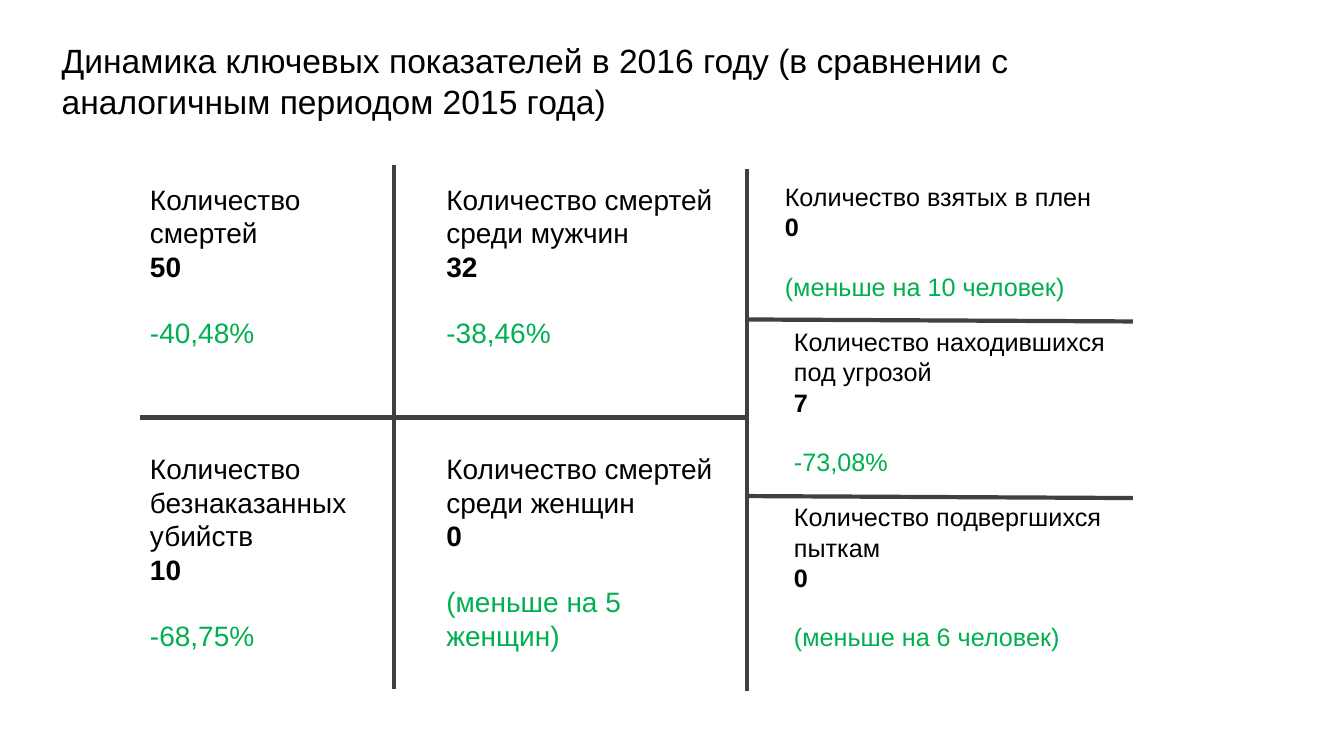
from dataclasses import dataclass

from lxml.etree import SubElement
from pptx import Presentation
from pptx.dml.color import RGBColor
from pptx.enum.text import MSO_ANCHOR, MSO_AUTO_SIZE, PP_ALIGN
from pptx.oxml.ns import qn
from pptx.slide import Slide
from pptx.text.text import Font
from pptx.util import Cm, Pt


@dataclass(frozen=True)
class Theme:
    font: str = "Arial"
    text: RGBColor = RGBColor(0x00, 0x00, 0x00)
    change: RGBColor = RGBColor(0x00, 0xB0, 0x50)
    divider: RGBColor = RGBColor(0x40, 0x40, 0x40)
    title_size: int = 24
    large_size: int = 20
    small_size: int = 18
    divider_width: int = 3
    line_height: float = 1.15


@dataclass(frozen=True)
class Indicator:
    label: str
    value: str
    change: str
    left: float
    top: float
    width: float
    height: float
    size: int


@dataclass(frozen=True)
class Divider:
    x1: float
    y1: float
    x2: float
    y2: float


THEME = Theme()

# Grid, in centimetres
LEFT, MIDDLE, RIGHT = 3.53, 11.0, 19.76
UPPER, LOWER = 4.47, 11.25
LEFT_WIDTH, MIDDLE_WIDTH, RIGHT_WIDTH = 5.7, 7.67, 8.46
FIRST_WALL, SECOND_WALL, RIGHT_EDGE = 9.93, 18.82, 28.55
LARGE, SMALL = THEME.large_size, THEME.small_size

INDICATORS = [
    Indicator("Количество смертей", "50", "-40,48%",
              LEFT, UPPER, LEFT_WIDTH, 4.52, LARGE),
    Indicator("Количество смертей среди мужчин", "32", "-38,46%",
              MIDDLE, UPPER, MIDDLE_WIDTH, 4.52, LARGE),
    Indicator("Количество безнаказанных убийств", "10", "-68,75%",
              LEFT, LOWER, LEFT_WIDTH, 5.38, LARGE),
    Indicator("Количество смертей среди женщин", "0", "(меньше на 5 женщин)",
              MIDDLE, LOWER, MIDDLE_WIDTH, 5.38, LARGE),
    Indicator("Количество взятых в плен", "0", "(меньше на 10 человек)",
              19.53, 4.45, RIGHT_WIDTH, 3.33, SMALL),
    Indicator("Количество находившихся под угрозой", "7", "-73,08%",
              RIGHT, 8.1, RIGHT_WIDTH, 4.11, SMALL),
    Indicator("Количество подвергшихся пыткам", "0", "(меньше на 6 человек)",
              RIGHT, 12.52, RIGHT_WIDTH, 4.11, SMALL),
]

DIVIDERS = [
    Divider(FIRST_WALL, 4.17, FIRST_WALL, 17.35),
    Divider(SECOND_WALL, 4.27, SECOND_WALL, 17.42),
    Divider(LEFT, 10.52, SECOND_WALL, 10.52),
    Divider(SECOND_WALL, 8.05, RIGHT_EDGE, 8.1),
    Divider(SECOND_WALL, 12.5, RIGHT_EDGE, 12.55),
]


def style_font(font: Font, size: int, color: RGBColor, bold: bool = False) -> None:
    font.name = THEME.font
    font.size = Pt(size)
    font.color.rgb = color
    font.bold = bold


def draw_title(slide: Slide, heading: str) -> None:
    title = slide.shapes.title
    title.left, title.top, title.width, title.height = Cm(1.3), Cm(0.89), Cm(27.25), Cm(2.31)
    frame = title.text_frame
    frame.text = heading
    frame.word_wrap = True
    frame.auto_size = MSO_AUTO_SIZE.SHAPE_TO_FIT_TEXT
    frame.vertical_anchor = MSO_ANCHOR.TOP
    frame.paragraphs[0].alignment = PP_ALIGN.LEFT
    style_font(frame.paragraphs[0].runs[0].font, THEME.title_size, THEME.text)


def draw_indicator(slide: Slide, item: Indicator) -> None:
    box = slide.shapes.add_textbox(Cm(item.left), Cm(item.top), Cm(item.width), Cm(item.height))
    frame = box.text_frame
    frame.word_wrap = True
    frame.auto_size = MSO_AUTO_SIZE.SHAPE_TO_FIT_TEXT
    frame.text = "\n".join((item.label, item.value, item.change))
    label, value, change = frame.paragraphs
    style_font(label.runs[0].font, item.size, THEME.text)
    style_font(value.runs[0].font, item.size, THEME.text, bold=True)
    style_font(change.runs[0].font, item.size, THEME.change)
    # One line of air above the change
    change.space_before = Pt(round(item.size * THEME.line_height, 1))


def draw_divider(slide: Slide, divider: Divider) -> None:
    line = slide.shapes.add_connector(
        1, Cm(divider.x1), Cm(divider.y1), Cm(divider.x2), Cm(divider.y2))
    line.line.color.rgb = THEME.divider
    line.line.width = Pt(THEME.divider_width)
    SubElement(line._element.spPr, qn("a:effectLst"))


def main() -> None:
    deck = Presentation()
    deck.slide_width, deck.slide_height = Cm(33.87), Cm(19.05)
    slide = deck.slides.add_slide(deck.slide_layouts[5])

    draw_title(slide, "Динамика ключевых показателей в 2016 году "
                      "(в сравнении с аналогичным периодом 2015 года)")
    for item in INDICATORS:
        draw_indicator(slide, item)
    for divider in DIVIDERS:
        draw_divider(slide, divider)

    deck.save("out.pptx")


if __name__ == "__main__":
    main()
